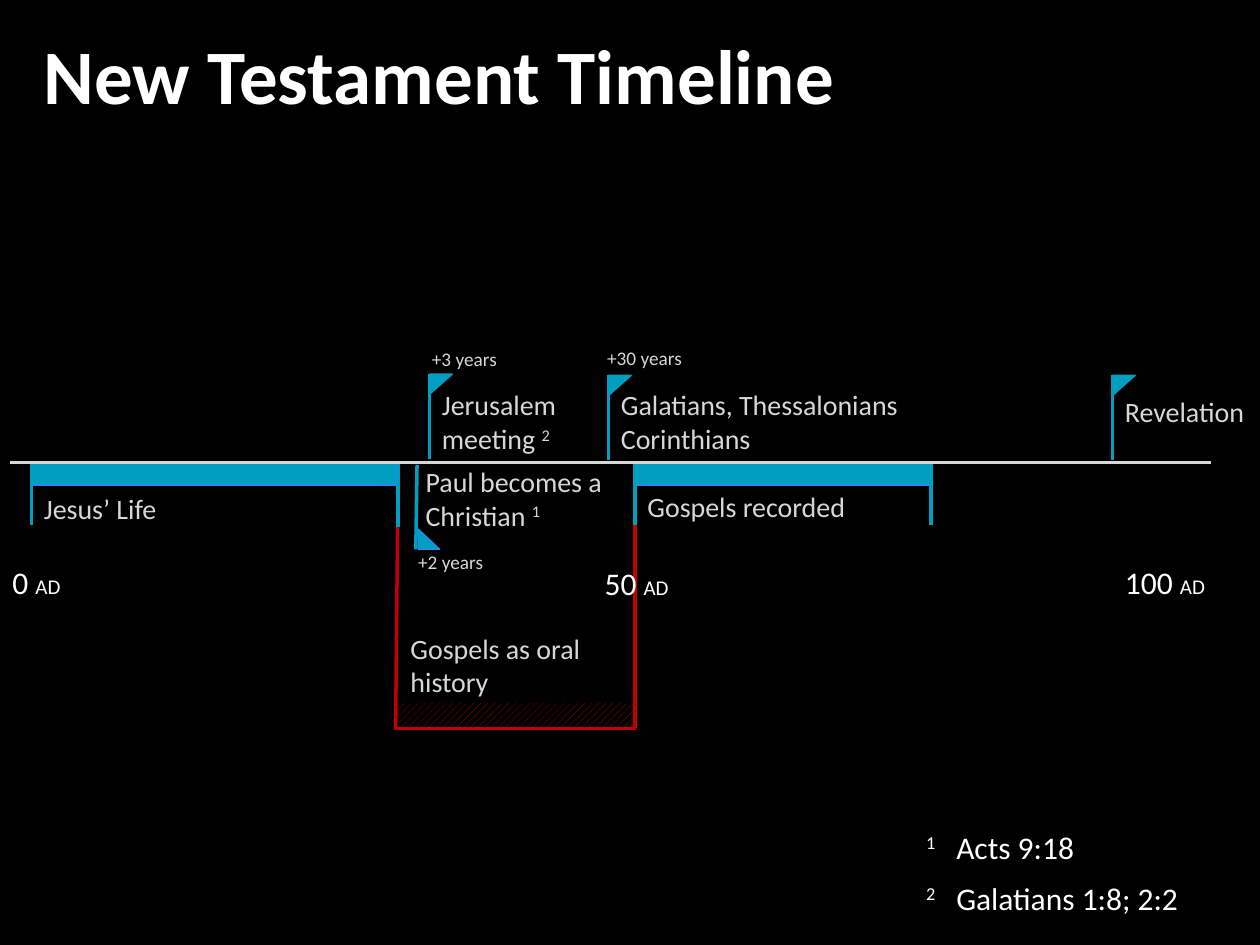
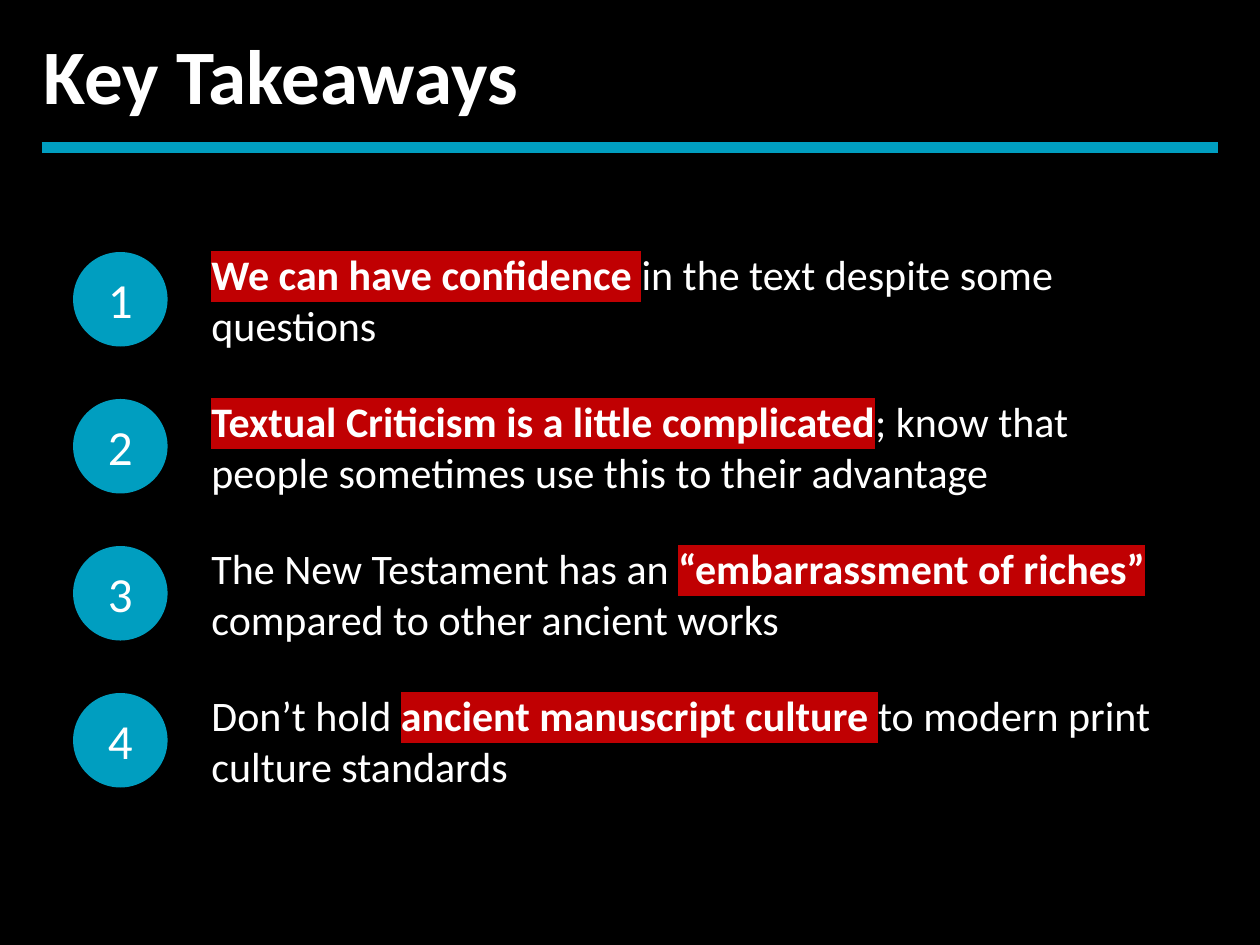
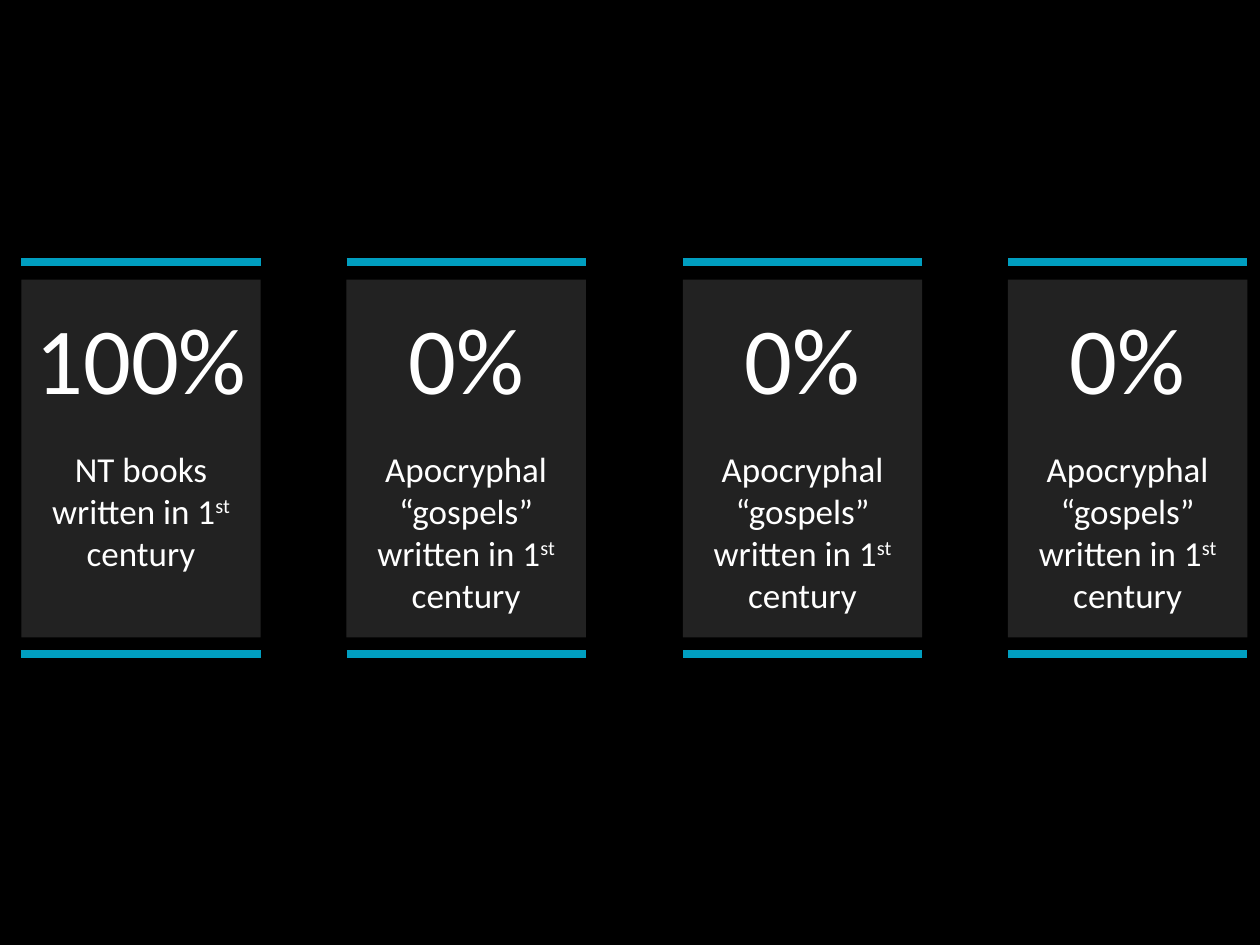
from lxml import etree
from pptx import Presentation
from pptx.dml.color import RGBColor
from pptx.enum.dml import MSO_PATTERN
from pptx.enum.shapes import MSO_CONNECTOR, MSO_SHAPE
from pptx.enum.text import MSO_ANCHOR, MSO_AUTO_SIZE, PP_ALIGN
from pptx.oxml.ns import qn
from pptx.util import Inches, Pt

BLACK = RGBColor(0x00, 0x00, 0x00)
WHITE = RGBColor(0xFF, 0xFF, 0xFF)
SILVER = RGBColor(0xD7, 0xD7, 0xD7)
CHARCOAL = RGBColor(0x22, 0x22, 0x22)
TEAL = RGBColor(0x00, 0x9E, 0xC0)
BLUE = RGBColor(0x24, 0x8B, 0xF3)
RED = RGBColor(0xC0, 0x00, 0x02)

FONT = "Calibri"
RECTANGLE = MSO_SHAPE.RECTANGLE
TRIANGLE = MSO_SHAPE.RIGHT_TRIANGLE
OVAL = MSO_SHAPE.OVAL
STRAIGHT = MSO_CONNECTOR.STRAIGHT
LEFT, CENTER, RIGHT = PP_ALIGN.LEFT, PP_ALIGN.CENTER, PP_ALIGN.RIGHT
MIDDLE = MSO_ANCHOR.MIDDLE
GROW = MSO_AUTO_SIZE.SHAPE_TO_FIT_TEXT
NO_TABLE_STYLE = "{2D5ABB26-0587-4C30-8999-92F81FD0307C}"

RAISED = {"raised": True}
MARKED = {"bold": True, "marked": True}


def write_text(frame, paragraphs, size, color=WHITE, align=LEFT, **frame_format):
    """Fill a frame; each paragraph is a list of (text, format) spans."""
    for name, value in frame_format.items():
        setattr(frame, name, value)
    for number, spans in enumerate(paragraphs):
        para = frame.paragraphs[0] if number == 0 else frame.add_paragraph()
        para.alignment = align
        for text, changes in spans:
            look = {"size": Pt(size), "bold": False, "name": FONT, **changes}
            raised = look.pop("raised", False)
            marked = look.pop("marked", False)
            span = para.add_run()
            span.text = text
            span.font.color.rgb = color
            properties = span.font._element
            if raised:
                properties.set("baseline", "30000")
            if marked:
                highlight = etree.SubElement(properties, qn("a:highlight"))
                etree.SubElement(highlight, qn("a:srgbClr")).set("val", str(RED))
            for name, value in look.items():
                setattr(span.font, name, value)


def draw_line(page, start, end, color, width):
    line = page.shapes.add_connector(STRAIGHT, *map(Inches, start + end))
    line.line.color.rgb = color
    line.line.width = Pt(width)
    etree.SubElement(line._element.spPr, qn("a:effectLst"))


deck = Presentation()
deck.slide_width, deck.slide_height = Inches(10), Inches(7.5)

# Pages with shared background and title
pages = []
for title in ("New Testament Timeline", "Key Takeaways", None):
    page = deck.slides.add_slide(deck.slide_layouts[6])
    page.background.fill.solid()
    page.background.fill.fore_color.rgb = BLACK
    if title:
        box = page.shapes.add_textbox(Inches(0.25), Inches(0.17), Inches(9.42), Inches(0.84))
        write_text(box.text_frame, [[(title, {"bold": True})]], 44,
                   word_wrap=True, auto_size=GROW)
    pages.append(page)
timeline, takeaways, figures = pages

# Timeline: hatched base and red frame of the oral history period
hatch = timeline.shapes.add_shape(
    RECTANGLE, Inches(3.16), Inches(5.58), Inches(1.87), Inches(0.2))
hatch.shadow.inherit = False
hatch.line.fill.background()
hatch.fill.patterned()
hatch.fill.pattern = MSO_PATTERN.WIDE_UPWARD_DIAGONAL
hatch.fill.fore_color.rgb = RED
hatch.fill.back_color.rgb = BLACK
for start, end in (
    ((5.04, 3.77), (5.04, 5.78)),
    ((3.16, 3.72), (3.14, 5.78)),
    ((5.05, 5.78), (3.13, 5.78)),
):
    draw_line(timeline, start, end, RED, 2)

# Timeline: period bars and event flags
for preset, at, outline, flipped in (
    (RECTANGLE, (0.25, 3.68, 2.89, 0.17), BLUE, False),
    (RECTANGLE, (5.04, 3.68, 2.35, 0.17), BLUE, False),
    (TRIANGLE, (3.41, 2.97, 0.18, 0.16), TEAL, True),
    (TRIANGLE, (4.83, 2.98, 0.18, 0.16), TEAL, True),
    (TRIANGLE, (8.83, 2.98, 0.18, 0.16), TEAL, True),
    (TRIANGLE, (3.32, 4.2, 0.17, 0.16), BLUE, False),
):
    marker = timeline.shapes.add_shape(preset, *map(Inches, at))
    marker.shadow.inherit = False
    marker.fill.solid()
    marker.fill.fore_color.rgb = TEAL
    marker.line.color.rgb = outline
    marker.line.width = Pt(0.75)
    if flipped:
        marker._element.spPr.xfrm.set("flipV", "1")

# Timeline: period ends, flag poles and the axis
for start, end in (
    ((0.25, 4.17), (0.25, 3.67)),
    ((3.16, 4.18), (3.16, 3.68)),
    ((5.04, 4.17), (5.04, 3.67)),
    ((7.39, 4.17), (7.39, 3.67)),
    ((3.41, 3.64), (3.41, 2.97)),
    ((4.83, 3.65), (4.83, 2.98)),
    ((8.83, 3.65), (8.83, 2.98)),
    ((3.3, 4.36), (3.31, 3.69)),
):
    draw_line(timeline, start, end, TEAL, 2)
draw_line(timeline, (0.08, 3.67), (9.61, 3.67), SILVER, 2)

# Timeline: dates
for year, at in (
    ("0 ", (0, 4.42, 0.59, 0.4)),
    ("50 ", (4.7, 4.43, 0.72, 0.4)),
    ("100 ", (8.83, 4.42, 0.84, 0.4)),
):
    box = timeline.shapes.add_textbox(*map(Inches, at))
    write_text(box.text_frame, [[(year, {}), ("AD", {"size": Pt(12)})]], 18,
               word_wrap=False, auto_size=GROW)

# Timeline: event names and year offsets
for at, size, paragraphs in (
    ((0.25, 3.85, 2.35, 0.37), 16, [[("Jesus’ Life", {})]]),
    ((5.04, 3.84, 2.35, 0.37), 16, [[("Gospels recorded", {})]]),
    ((4.83, 3.03, 3.76, 0.64), 16,
     [[("Galatians, Thessalonians", {})], [("Corinthians", {})]]),
    ((8.83, 3.08, 1.17, 0.37), 16, [[("Revelation", {})]]),
    ((3.41, 3.03, 1.5, 0.64), 16, [[("Jerusalem meeting ", {}), ("2", RAISED)]]),
    ((3.28, 3.64, 1.63, 0.64), 16,
     [[("Paul becomes a Christian ", {}), ("1", RAISED)]]),
    ((3.16, 4.96, 1.84, 0.64), 16, [[("Gospels as oral", {})], [("history", {})]]),
    ((3.22, 4.32, 0.73, 0.29), 11, [[("+2 years", {})]]),
    ((3.33, 2.71, 0.73, 0.29), 11, [[("+3 years", {})]]),
    ((4.72, 2.7, 0.81, 0.29), 11, [[("+30 years", {})]]),
):
    box = timeline.shapes.add_textbox(*map(Inches, at))
    write_text(box.text_frame, paragraphs, size, SILVER,
               word_wrap=size > 11, auto_size=GROW)

# Timeline: table of references
references = ("Acts 9:18", "Galatians 1:8; 2:2")
table = timeline.shapes.add_table(
    len(references), 2, Inches(7.25), Inches(6.53), Inches(2.58), Inches(0.81)).table
table.first_row = table.horz_banding = False
table._tbl.tblPr.find(qn("a:tableStyleId")).text = NO_TABLE_STYLE
for column, width in zip(table.columns, (0.23, 2.35)):
    column.width = Inches(width)
for row, reference in enumerate(references):
    number_cell, reference_cell = table.cell(row, 0), table.cell(row, 1)
    number_cell.fill.background()
    reference_cell.fill.background()
    write_text(number_cell.text_frame, [[(str(row + 1), RAISED)]], 18, align=RIGHT)
    write_text(reference_cell.text_frame, [[(reference, {})]], 18)

# Takeaways: rule under the title and numbered points
draw_line(takeaways, (0.33, 1.17), (9.67, 1.17), TEAL, 6)
points = (
    [("We can have confidence ", MARKED), ("in the text despite some questions", {})],
    [("Textual Criticism is a little complicated", MARKED),
     ("; know that people sometimes use this to their advantage", {})],
    [("The New Testament has an ", {}), ("“embarrassment of riches” ", MARKED),
     ("compared to other ancient works", {})],
    [("Don’t hold ", {}), ("ancient manuscript culture ", MARKED),
     ("to modern print culture standards", {})],
)
for index, spans in enumerate(points):
    top = Inches(2 + index * 3.5 / 3)
    circle = takeaways.shapes.add_shape(OVAL, Inches(0.58), top, Inches(0.75), Inches(0.75))
    circle.shadow.inherit = False
    circle.fill.solid()
    circle.fill.fore_color.rgb = TEAL
    circle.line.fill.background()
    write_text(circle.text_frame, [[(str(index + 1), {})]], 28, align=CENTER,
               vertical_anchor=MIDDLE)
    box = takeaways.shapes.add_textbox(Inches(1.58), top, Inches(7.75), Inches(0.75))
    write_text(box.text_frame, [spans], 24, word_wrap=True, vertical_anchor=MIDDLE)

# Figures: one card per percentage
apocryphal = "Apocryphal “gospels” written in 1"
card_width = 1.9
for left, percentage, label, label_height in (
    (0.17, "100%", "NT books written in 1", 1.11),
    (2.75, "0%", apocryphal, 1.45),
    (5.42, "0%", apocryphal, 1.45),
    (8, "0%", apocryphal, 1.45),
):
    card = figures.shapes.add_shape(
        RECTANGLE, Inches(left), Inches(2.22), Inches(card_width), Inches(2.84))
    card.shadow.inherit = False
    card.fill.solid()
    card.fill.fore_color.rgb = CHARCOAL
    card.line.fill.background()
    for height in (2.08, 5.19):
        draw_line(figures, (left, height), (left + card_width, height), TEAL, 4.25)
    for top, box_height, size, spans in (
        (2.33, 1.01, 54, [(percentage, {})]),
        (3.5, label_height, 20, [(label, {}), ("st", RAISED), (" century", {})]),
    ):
        box = figures.shapes.add_textbox(
            Inches(left), Inches(top), Inches(card_width), Inches(box_height))
        write_text(box.text_frame, [spans], size, align=CENTER,
                   word_wrap=True, auto_size=GROW)

deck.save("out.pptx")
